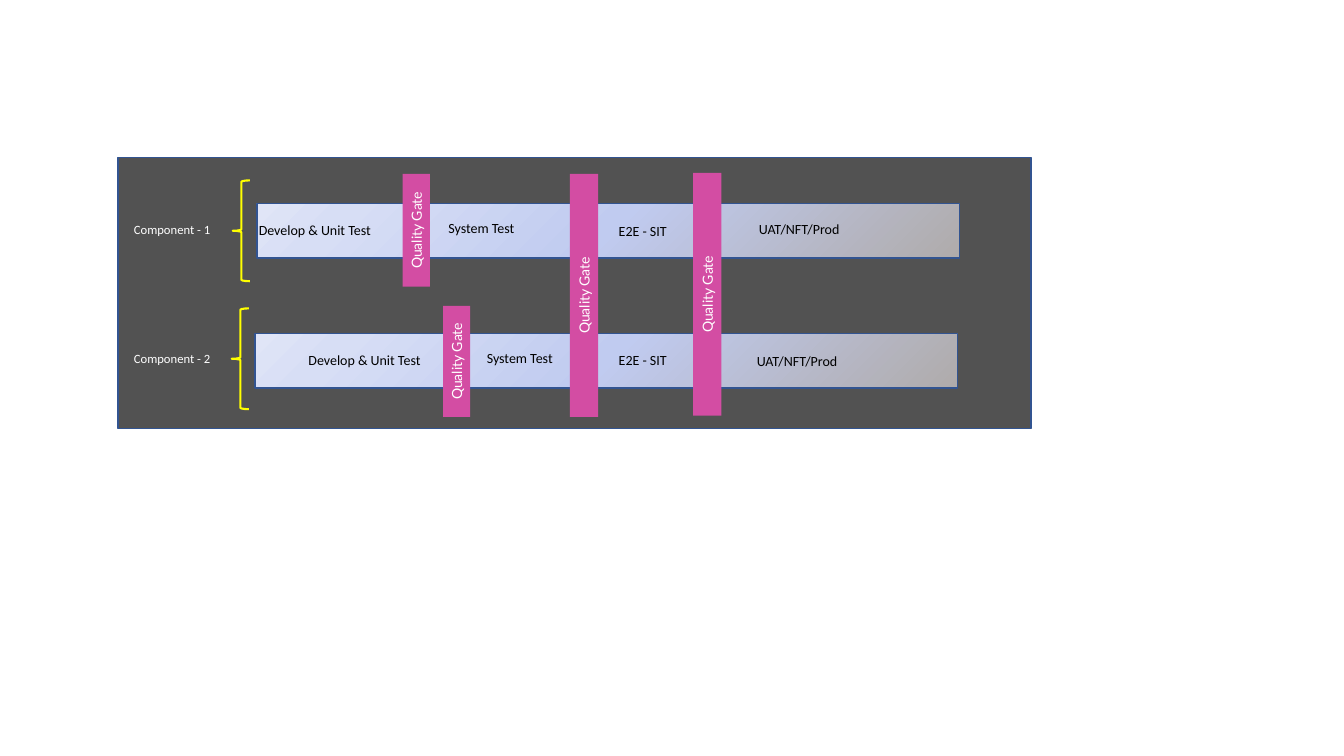
"""Build the two-component test pipeline slide with its quality gates."""
from copy import deepcopy

from pptx import Presentation
from pptx.dml.color import RGBColor
from pptx.enum.shapes import MSO_SHAPE
from pptx.enum.text import MSO_ANCHOR, MSO_AUTO_SIZE, PP_ALIGN
from pptx.util import Pt

BLACK = RGBColor(0x00, 0x00, 0x00)
WHITE = RGBColor(0xFF, 0xFF, 0xFF)
CHARCOAL = RGBColor(0x52, 0x52, 0x52)
NAVY = RGBColor(0x32, 0x54, 0x91)
PINK = RGBColor(0xD3, 0x4D, 0xA3)
YELLOW = RGBColor(0xFF, 0xFF, 0x00)
BAR_STOPS = [
    (0, RGBColor(0xAF, 0xAB, 0xAB)),
    (0.5, RGBColor(0xC0, 0xCB, 0xF0)),
    (0.87, RGBColor(0xD7, 0xDE, 0xF5)),
    (1, RGBColor(0xE0, 0xE5, 0xF7)),
]

PANEL = (84.2, 112.3, 652.3, 193.7)
BAR_SIZE = (501.8, 38.9)
BRACE_SIZE = (12.2, 72)
LABEL_LEFT, LABEL_WIDTH, LABEL_HEIGHT = 88.6, 76.3, 18
STAGE_HEIGHT = 19.4
COMPONENTS = [
    {
        "label": ("Component - 1", 154.8),
        "bar": (183.6, 145.4),
        "brace": (166.3, 128.9),
        "stages": [
            ("Develop & Unit Test", 177.8, 154.8, 100.8, PP_ALIGN.LEFT),
            ("System Test", 313.2, 153.4, 66.2, PP_ALIGN.LEFT),
            ("E2E - SIT", 434.9, 155.5, 53.3, PP_ALIGN.LEFT),
            ("UAT/NFT/Prod", 535, 154.1, 76.3, PP_ALIGN.LEFT),
        ],
    },
    {
        "label": ("Component - 2", 247),
        "bar": (182.2, 238.3),
        "brace": (165.6, 220.3),
        "stages": [
            ("Develop & Unit Test", 183.6, 247.7, 123.8, PP_ALIGN.RIGHT),
            ("System Test", 340.6, 246.2, 66.2, PP_ALIGN.LEFT),
            ("E2E - SIT", 434.9, 247.7, 53.3, PP_ALIGN.LEFT),
            ("UAT/NFT/Prod", 533.5, 248.4, 76.3, PP_ALIGN.LEFT),
        ],
    },
]
GATE_TEXT = "Quality Gate"
GATES = [
    {"center": (297.4, 164.5), "length": 80.6, "thickness": 19.4},
    {"center": (326.2, 258.1), "length": 79.2, "thickness": 19.4},
    {"center": (417.2, 211), "length": 173.5, "thickness": 20.2},
    {"center": (505.1, 210.2), "length": 173.5, "thickness": 20.2},
]

prs = Presentation()
prs.slide_width, prs.slide_height = Pt(960), Pt(540)
slide = prs.slides.add_slide(prs.slide_layouts[6])


def add_block(kind, box, fill=None, line=None, weight=1):
    block = slide.shapes.add_shape(kind, *map(Pt, box))
    block.shadow.inherit = False
    if fill is None:
        block.fill.background()
    else:
        block.fill.solid()
        block.fill.fore_color.rgb = fill
    if line is None:
        block.line.fill.background()
    else:
        block.line.color.rgb = line
        block.line.width = Pt(weight)
    return block


def write(holder, text, size, font, color, align, wrap=True):
    frame = holder.text_frame
    frame.text = text
    frame.word_wrap = wrap
    frame.auto_size = MSO_AUTO_SIZE.SHAPE_TO_FIT_TEXT
    paragraph = frame.paragraphs[0]
    paragraph.alignment = align
    run = paragraph.runs[0]
    run.font.size = Pt(size)
    run.font.name = font
    run.font.color.rgb = color


def add_label(text, box, size, color, align=PP_ALIGN.LEFT, wrap=True):
    label = slide.shapes.add_textbox(*map(Pt, box))
    write(label, text, size, "Calibri", color, align, wrap)


def shade(bar):
    bar.fill.gradient()
    bar.fill.gradient_angle = 135
    stop_list = bar.fill._fill._gradFill.gsLst
    for _ in range(len(BAR_STOPS) - len(stop_list)):
        stop_list.append(deepcopy(stop_list[0]))
    for stop, (position, color) in zip(bar.fill.gradient_stops, BAR_STOPS):
        stop.position = position
        stop.color.rgb = color


add_block(MSO_SHAPE.RECTANGLE, PANEL, CHARCOAL, NAVY)

for component in COMPONENTS:
    shade(add_block(MSO_SHAPE.RECTANGLE, component["bar"] + BAR_SIZE, line=NAVY))
    add_block(MSO_SHAPE.LEFT_BRACE, component["brace"] + BRACE_SIZE, line=YELLOW, weight=1.5)
    name, top = component["label"]
    add_label(name, (LABEL_LEFT, top, LABEL_WIDTH, LABEL_HEIGHT), 9, WHITE)
    for stage, left, top, width, align in component["stages"]:
        add_label(stage, (left, top, width, STAGE_HEIGHT), 10, BLACK, align,
                  wrap=align == PP_ALIGN.RIGHT)

for gate in GATES:
    x, y = gate["center"]
    length, thickness = gate["length"], gate["thickness"]
    box = (x - length / 2, y - thickness / 2, length, thickness)
    block = add_block(MSO_SHAPE.RECTANGLE, box, PINK)
    block.rotation = 270
    block.text_frame.vertical_anchor = MSO_ANCHOR.MIDDLE
    write(block, GATE_TEXT, 10, "Lato", WHITE, PP_ALIGN.CENTER)

prs.save("out.pptx")
